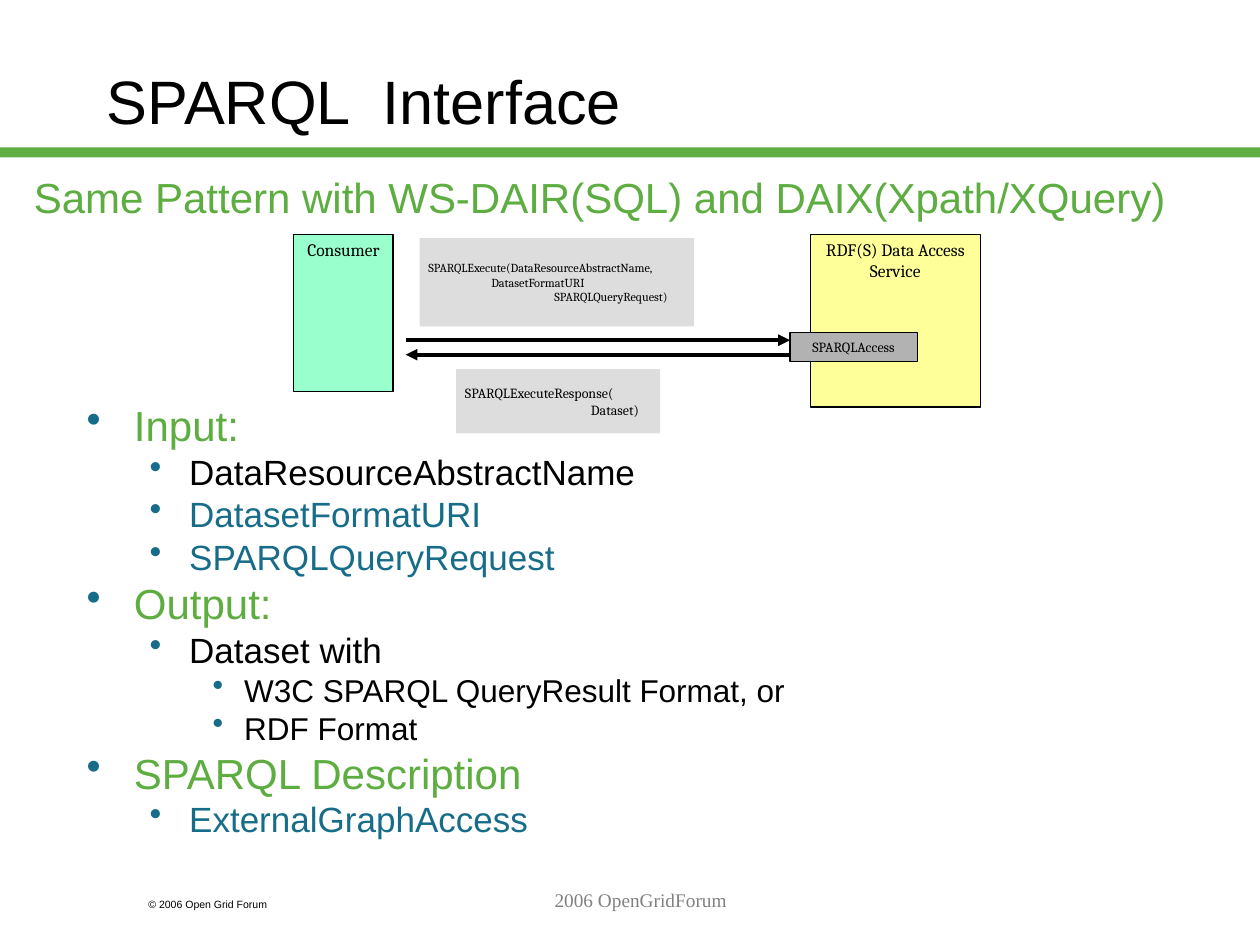
from lxml.etree import SubElement
from pptx import Presentation
from pptx.dml.color import RGBColor
from pptx.enum.shapes import MSO_CONNECTOR, MSO_SHAPE
from pptx.enum.text import MSO_ANCHOR, PP_ALIGN
from pptx.oxml.ns import qn
from pptx.util import Inches, Pt

BLACK = RGBColor(0x00, 0x00, 0x00)
WHITE = RGBColor(0xFF, 0xFF, 0xFF)
GREEN = RGBColor(0x5D, 0xAD, 0x41)
TEAL = RGBColor(0x17, 0x6D, 0x89)
MINT = RGBColor(0x99, 0xFF, 0xCC)
YELLOW = RGBColor(0xFF, 0xFF, 0x99)
LIGHT_GRAY = RGBColor(0xDD, 0xDD, 0xDD)
MID_GRAY = RGBColor(0xB2, 0xB2, 0xB2)
FOOTER_GRAY = RGBColor(0x80, 0x80, 0x80)

presentation = Presentation()
presentation.slide_width = Inches(10)
presentation.slide_height = Inches(7.5)
slide = presentation.slides.add_slide(presentation.slide_layouts[6])
slide.background.fill.solid()
slide.background.fill.fore_color.rgb = WHITE

# The slide is a grid of 100 columns by 75 rows.
COLUMN = presentation.slide_width / 100
ROW = presentation.slide_height / 75


def grid(left, top, width, height):
    """Turn columns and rows into slide lengths."""
    return [round(n * unit) for n, unit in zip((left, top, width, height), (COLUMN, ROW) * 2)]


def write(shape, lines, size, font, color, align=PP_ALIGN.LEFT,
          anchor=MSO_ANCHOR.TOP, inset=(1, 0.5)):
    """Fill a shape with lines, each a pair of text and left indent in columns."""
    frame = shape.text_frame
    frame.word_wrap = True
    frame.vertical_anchor = anchor
    frame.margin_left = frame.margin_right = round(inset[0] * COLUMN)
    frame.margin_top = frame.margin_bottom = round(inset[1] * ROW)
    for index, (text, indent) in enumerate(lines):
        paragraph = frame.paragraphs[0] if index == 0 else frame.add_paragraph()
        paragraph.alignment = align
        if indent:
            paragraph._p.get_or_add_pPr().set("marL", str(round(indent * COLUMN)))
        run = paragraph.add_run()
        run.text = text
        run.font.size = Pt(size)
        run.font.name = font
        run.font.color.rgb = color


# Title rule
rule = slide.shapes.add_shape(MSO_SHAPE.RECTANGLE, *grid(0, 11.7, 100, 0.8))
rule.shadow.inherit = False
rule.fill.solid()
rule.fill.fore_color.rgb = GREEN
rule.line.fill.background()

# Title, subtitle and footers
for place, text, size, font, color, align, anchor in [
    ((7.5, 1.7, 85, 12.5), "SPARQL  Interface", 35, "Arial", BLACK, PP_ALIGN.LEFT, MSO_ANCHOR.MIDDLE),
    ((1.7, 13.1, 95, 5), "Same Pattern with WS-DAIR(SQL) and DAIX(Xpath/XQuery)",
     24, "Arial", GREEN, PP_ALIGN.LEFT, MSO_ANCHOR.TOP),
    ((10.8, 70.8, 15, 2), "© 2006 Open Grid Forum", 6, "Arial", BLACK, PP_ALIGN.LEFT, MSO_ANCHOR.TOP),
    ((21.7, 70, 58.3, 5), "2006 OpenGridForum", 11, "Times New Roman", FOOTER_GRAY,
     PP_ALIGN.CENTER, MSO_ANCHOR.TOP),
]:
    write(slide.shapes.add_textbox(*grid(*place)), [(text, 0)], size, font, color, align, anchor)

# Request and response arrows
for start, end, row in [(32.2, 62.7, 27), (62.7, 32.2, 28.15)]:
    x1, y1, x2, y2 = grid(start, row, end, row)
    arrow = slide.shapes.add_connector(MSO_CONNECTOR.STRAIGHT, x1, y1, x2, y2)
    arrow.line.color.rgb = BLACK
    arrow.line.width = Pt(2.25)
    SubElement(arrow.line._get_or_add_ln(), qn("a:tailEnd"), type="triangle")
    SubElement(arrow._element.spPr, qn("a:effectLst"))

# Diagram boxes
for place, fill, outlined, lines, size, align, anchor in [
    ((23.3, 18.6, 7.9, 12.5), MINT, True, [("Consumer", 0)], 10, PP_ALIGN.CENTER, MSO_ANCHOR.TOP),
    ((33.3, 18.9, 21.8, 7), LIGHT_GRAY, False,
     [("SPARQLExecute(DataResourceAbstractName,", 0), ("DatasetFormatURI", 5),
      ("SPARQLQueryRequest)", 10)], 7, PP_ALIGN.LEFT, MSO_ANCHOR.MIDDLE),
    ((36.2, 29.3, 16.2, 5.1), LIGHT_GRAY, False,
     [("SPARQLExecuteResponse(", 0), ("Dataset)", 10)], 8, PP_ALIGN.LEFT, MSO_ANCHOR.MIDDLE),
    ((64.3, 18.6, 13.5, 13.7), YELLOW, True, [("RDF(S) Data Access Service", 0)],
     10, PP_ALIGN.CENTER, MSO_ANCHOR.TOP),
    ((62.7, 26.4, 10.1, 2.3), MID_GRAY, True, [("SPARQLAccess", 0)],
     8, PP_ALIGN.CENTER, MSO_ANCHOR.MIDDLE),
]:
    box = slide.shapes.add_shape(MSO_SHAPE.RECTANGLE, *grid(*place))
    box.shadow.inherit = False
    box.fill.solid()
    box.fill.fore_color.rgb = fill
    if outlined:
        box.line.color.rgb = BLACK
        box.line.width = Pt(0.75)
    else:
        box.line.fill.background()
    write(box, lines, size, "Cambria", BLACK, align, anchor, inset=(0.7, 0.4))

# Bulleted outline: left indent and hanging width in columns, then text size
LEVELS = [(3.75, 3.75, 24), (8.13, 3.13, 20), (12.5, 2.5, 18)]
outline = [
    (0, "Input:", GREEN),
    (1, "DataResourceAbstractName", BLACK),
    (1, "DatasetFormatURI", TEAL),
    (1, "SPARQLQueryRequest", TEAL),
    (0, "Output:", GREEN),
    (1, "Dataset with", BLACK),
    (2, "W3C SPARQL QueryResult Format, or", BLACK),
    (2, "RDF Format", BLACK),
    (0, "SPARQL Description", GREEN),
    (1, "ExternalGraphAccess", TEAL),
]
body = slide.shapes.add_textbox(*grid(5.9, 32, 80.3, 36.2)).text_frame
body.word_wrap = True
for index, (level, text, color) in enumerate(outline):
    indent, hanging, size = LEVELS[level]
    paragraph = body.paragraphs[0] if index == 0 else body.add_paragraph()
    paragraph.level = level
    properties = paragraph._p.get_or_add_pPr()
    properties.set("marL", str(round(indent * COLUMN)))
    properties.set("indent", str(round(-hanging * COLUMN)))
    bullet_color = SubElement(properties, qn("a:buClr"))
    SubElement(bullet_color, qn("a:srgbClr"), val=str(TEAL))
    SubElement(properties, qn("a:buChar"), char="•")
    paragraph.line_spacing = 0.8
    if index:
        paragraph.space_before = Pt(size / 4)
    run = paragraph.add_run()
    run.text = text
    run.font.size = Pt(size)
    run.font.name = "Arial"
    run.font.color.rgb = color

presentation.save("out.pptx")
